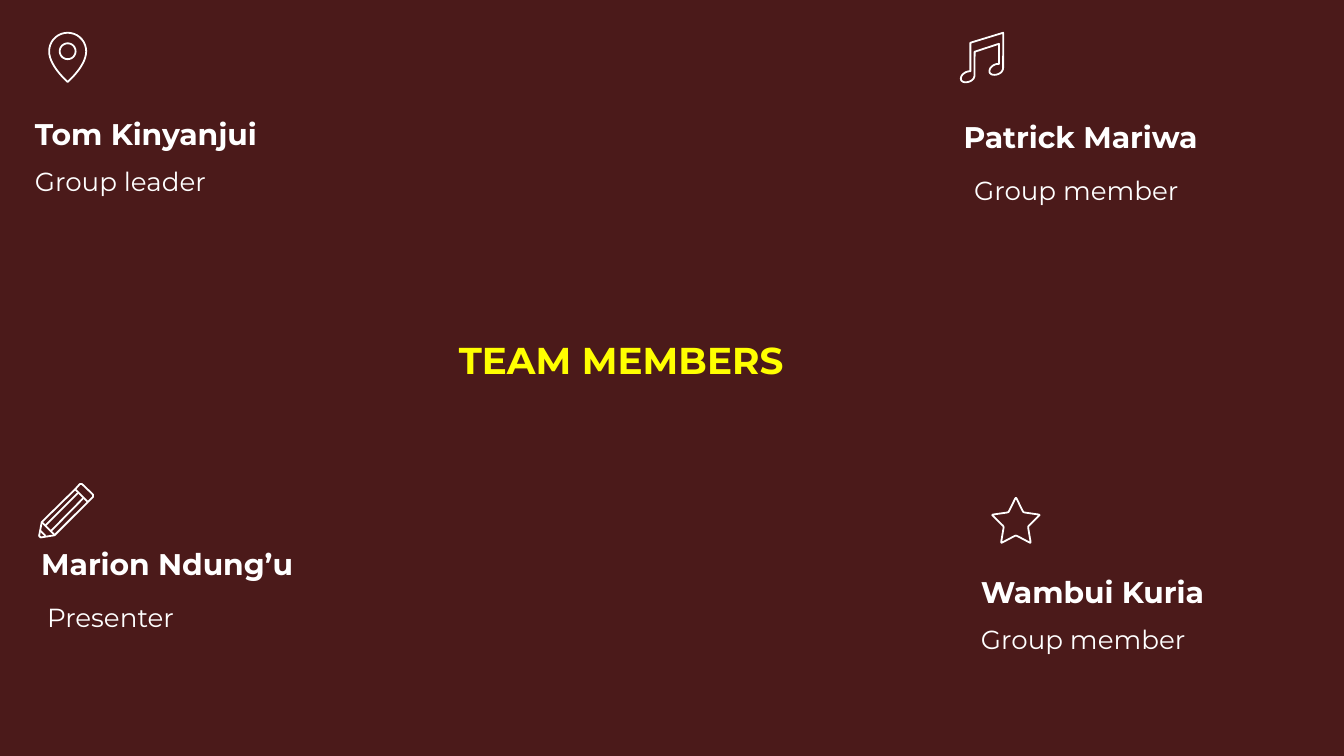
from math import cos, radians, sin
from typing import NamedTuple

from lxml.etree import SubElement
from pptx import Presentation
from pptx.dml.color import RGBColor
from pptx.enum.shapes import MSO_CONNECTOR
from pptx.enum.text import MSO_ANCHOR, MSO_AUTO_SIZE as AutoSize, PP_ALIGN
from pptx.oxml.ns import qn
from pptx.util import Cm, Pt

FONT = "Montserrat"
MAROON, WHITE, YELLOW = "4B1A1A", "FFFFFF", "FFFF00"
LINE_WIDTH = Pt(0.96)

Point = tuple[float, float]


class Label(NamedTuple):
    text: str
    x: float
    y: float
    width: float


class Member(NamedTuple):
    name: Label
    role: Label


class Contour(NamedTuple):
    points: list[Point]
    closed: bool = True


# Positions and sizes in centimetres
MEMBERS = [
    Member(Label("Tom Kinyanjui", 0.41, 2.06, 5.26),
           Label("Group leader", 0.41, 3.0, 6.15)),
    Member(Label("Patrick Mariwa", 17.96, 2.11, 5.54),
           Label("Group member", 18.16, 3.18, 6.15)),
    Member(Label("Marion Ndung’u", 0.53, 10.19, 6.22),
           Label("Presenter", 0.64, 11.25, 6.15)),
    Member(Label("Wambui Kuria", 18.29, 10.72, 5.21),
           Label("Group member", 18.29, 11.66, 6.15)),
]


def rgb(color: str) -> RGBColor:
    return RGBColor.from_string(color)


# Curves
def arc(cx: float, cy: float, r: float, start: int, end: int) -> list[Point]:
    return [(cx + r * cos(radians(a)), cy + r * sin(radians(a)))
            for a in range(start, end + 1, 10)]


def bezier(a: Point, b: Point, c: Point, d: Point, steps: int = 12) -> list[Point]:
    points = []
    for i in range(steps + 1):
        t = i / steps
        u = 1 - t
        weights = (u ** 3, 3 * u * u * t, 3 * u * t * t, t ** 3)
        points.append(tuple(sum(w * p[axis] for w, p in zip(weights, (a, b, c, d)))
                            for axis in (0, 1)))
    return points


def rounded(corners: list[Point], share: float) -> list[Point]:
    points = []
    for i, (x, y) in enumerate(corners):
        before, after = corners[i - 1], corners[(i + 1) % len(corners)]
        start, end = [(x + share * (px - x), y + share * (py - y))
                      for px, py in (before, after)]
        points += bezier(start, (x, y), (x, y), end, 6)
    return points


# Drawing
def format_text(sp, text: str, size: int, color: str, bold: bool, align) -> None:
    tf = sp.text_frame
    tf.text = text
    tf.word_wrap = True
    tf.auto_size = AutoSize.SHAPE_TO_FIT_TEXT
    tf.vertical_anchor = MSO_ANCHOR.TOP
    p = tf.paragraphs[0]
    p.alignment = align
    font = p.runs[0].font
    font.name, font.size, font.bold = FONT, Pt(size), bold
    font.color.rgb = rgb(color)


def add_label(slide, label: Label, height: float, size: int, bold: bool) -> None:
    sp = slide.shapes.add_textbox(Cm(label.x), Cm(label.y), Cm(label.width), Cm(height))
    format_text(sp, label.text, size, WHITE, bold, PP_ALIGN.LEFT)


def add_outline(slide, *contours: Contour) -> None:
    builder = None
    for contour in contours:
        first, *rest = [(Cm(x), Cm(y)) for x, y in contour.points]
        if builder is None:
            builder = slide.shapes.build_freeform(*first)
        else:
            builder.move_to(*first)
        builder.add_line_segments(rest, close=contour.closed)
    sp = builder.convert_to_shape()
    sp.shadow.inherit = False
    sp.fill.background()
    sp.line.color.rgb = rgb(WHITE)
    sp.line.width = LINE_WIDTH


def add_line(slide, start: Point, end: Point) -> None:
    line = slide.shapes.add_connector(
        MSO_CONNECTOR.STRAIGHT, *[Cm(v) for v in (*start, *end)])
    line.line.color.rgb = rgb(WHITE)
    line.line.width = LINE_WIDTH
    SubElement(line._element.spPr, qn("a:effectLst"))


# Icons
def add_pin(slide) -> None:
    cx, cy, r = 1.28, 0.97, 0.35
    side = bezier((r, cy), (r, 1.2), (0.12, 1.44), (0, 1.55))
    right = [(cx + dx, y) for dx, y in side]
    left = [(cx - dx, y) for dx, y in reversed(side)]
    add_outline(slide, Contour(arc(cx, cy, r, 180, 360) + right + left),
                Contour(arc(cx, cy, 0.15, 0, 360)))


def note_head(x: float, y: float) -> list[Point]:
    tip = (x - 0.18, y + 0.14)
    return (bezier((x, y), (x - 0.08, y - 0.01), (x - 0.18, y + 0.06), tip)
            + bezier(tip, (x - 0.18, y + 0.25), (x + 0.08, y + 0.22), (x + 0.08, y + 0.07)))


def add_music(slide) -> None:
    add_outline(slide, Contour(
        [(18.34, 0.81)] + note_head(18.34, 1.35)
        + [(18.42, 0.98), (18.88, 0.83)] + note_head(18.88, 1.21)
        + [(18.96, 0.62)]))


def add_pencil(slide) -> None:
    eraser = [(1.55, 9.15), (1.51, 9.15), (1.42, 9.25),
              (1.66, 9.49), (1.76, 9.39), (1.76, 9.35)]
    body = [(1.42, 9.25), (0.79, 9.87), (0.74, 10.13),
            (0.77, 10.16), (1.03, 10.12), (1.66, 9.49)]
    add_outline(slide, Contour(eraser))
    add_outline(slide, Contour(body, closed=False))
    for start, end in [((1.57, 9.42), (0.96, 10.04)), ((0.86, 9.93), (1.47, 9.32)),
                       ((0.86, 10.13), (0.76, 10.03)), ((0.79, 9.87), (1.03, 10.11))]:
        add_line(slide, start, end)


def add_star(slide) -> None:
    cx, cy, radii = 19.2, 9.88, (0.48, 0.24)
    corners = [(cx + radii[i % 2] * sin(radians(36 * i)),
                cy - radii[i % 2] * cos(radians(36 * i))) for i in range(10)]
    add_outline(slide, Contour(rounded(corners, 0.16)))


def main() -> None:
    prs = Presentation()
    prs.slide_width, prs.slide_height = Cm(25.4), Cm(14.29)
    slide = prs.slides.add_slide(prs.slide_layouts[5])
    slide.background.fill.solid()
    slide.background.fill.fore_color.rgb = rgb(MAROON)

    # Title
    title = slide.shapes.title
    title.left, title.top, title.width, title.height = Cm(7.7), Cm(6.25), Cm(8.08), Cm(1.12)
    format_text(title, "TEAM MEMBERS", 20, YELLOW, True, PP_ALIGN.CENTER)

    # Members, each with an icon
    for member, add_icon in zip(MEMBERS, (add_pin, add_music, add_pencil, add_star)):
        add_icon(slide)
        add_label(slide, member.role, 0.86, 14, False)
        add_label(slide, member.name, 0.94, 16, True)

    prs.save("out.pptx")


if __name__ == "__main__":
    main()
